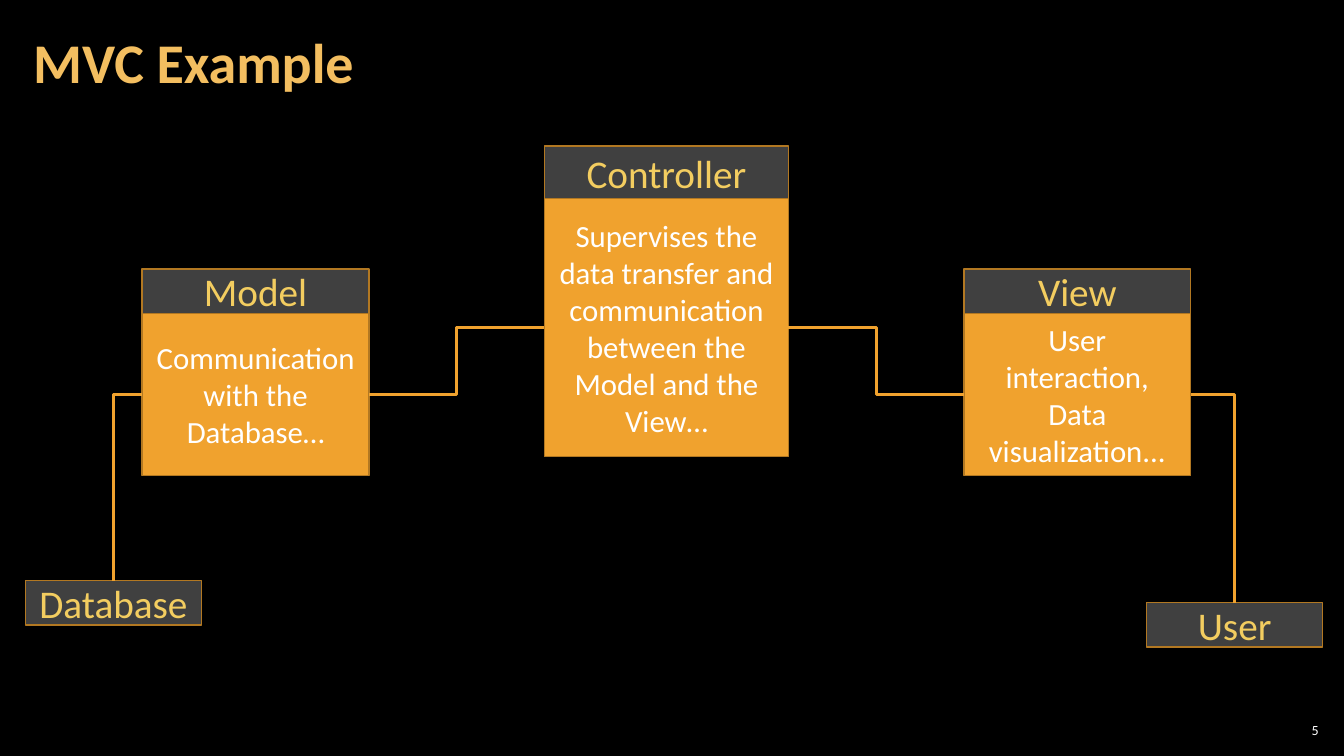
from dataclasses import dataclass

from lxml.etree import SubElement
from pptx import Presentation
from pptx.dml.color import RGBColor
from pptx.enum.shapes import MSO_CONNECTOR, MSO_SHAPE
from pptx.enum.text import MSO_ANCHOR, PP_ALIGN
from pptx.oxml.ns import qn
from pptx.util import Inches, Pt


@dataclass(frozen=True)
class Theme:
    font: str = "Calibri"
    background: str = "000000"
    white: str = "FFFFFF"
    title: str = "F3BE60"
    heading: str = "F3CD60"
    accent: str = "F0A22E"
    border: str = "B27822"
    title_size: int = 40
    heading_size: int = 28
    body_size: int = 22
    number_size: int = 10
    border_width: int = 1
    link_width: int = 2
    header_alpha: int = 25


def write(tf, text, *, size, color, bold=False, align=PP_ALIGN.LEFT,
          spacing=None, margins=(0.1, 0.05), font=Theme.font):
    """Fill a text frame with one formatted paragraph."""
    tf.word_wrap = True
    tf.vertical_anchor = MSO_ANCHOR.MIDDLE
    tf.margin_left = tf.margin_right = Inches(margins[0])
    tf.margin_top = tf.margin_bottom = Inches(margins[1])
    p = tf.paragraphs[0]
    p.alignment = align
    if spacing:
        p.line_spacing = spacing
    r = p.add_run()
    r.text = text
    r.font.name = font
    r.font.size = Pt(size)
    r.font.bold = bold
    r.font.color.rgb = RGBColor.from_string(color)


class Diagram:
    LEFT, RIGHT, TOP = 1, 3, 0  # connection sites of a rectangle

    def __init__(self, prs, theme):
        self.theme = theme
        self.slide = prs.slides.add_slide(prs.slide_layouts[6])
        fill = self.slide.background.fill
        fill.solid()
        fill.fore_color.rgb = RGBColor.from_string(theme.background)

    def text(self, x, y, w, h, text, **fmt):
        box = self.slide.shapes.add_textbox(*map(Inches, (x, y, w, h)))
        write(box.text_frame, text, **fmt)

    def rect(self, x, y, w, h, text, *, fill, alpha=None, **fmt):
        sp = self.slide.shapes.add_shape(
            MSO_SHAPE.RECTANGLE, *map(Inches, (x, y, w, h)))
        sp.shadow.inherit = False
        sp.fill.solid()
        sp.fill.fore_color.rgb = RGBColor.from_string(fill)
        if alpha is not None:
            color = next(sp._element.spPr.iter(qn("a:srgbClr")))
            SubElement(color, qn("a:alpha")).set("val", str(alpha * 1000))
        sp.line.color.rgb = RGBColor.from_string(self.theme.border)
        sp.line.width = Pt(self.theme.border_width)
        write(sp.text_frame, text, align=PP_ALIGN.CENTER, **fmt)
        return sp

    def header(self, x, y, w, h, text):
        t = self.theme
        return self.rect(x, y, w, h, text, fill=t.white, alpha=t.header_alpha,
                         size=t.heading_size, color=t.heading)

    def card(self, x, y, w, header_h, body_h, name, text):
        """Draw a header on a body; return the body for linking."""
        t = self.theme
        body = self.rect(x, y + header_h, w, body_h, text, fill=t.accent,
                         size=t.body_size, color=t.white)
        self.header(x, y, w, header_h, name)
        return body

    def link(self, start, start_site, end, end_site):
        cxn = self.slide.shapes.add_connector(MSO_CONNECTOR.ELBOW, 0, 0, 0, 0)
        cxn.begin_connect(start, start_site)
        cxn.end_connect(end, end_site)
        cxn.line.color.rgb = RGBColor.from_string(self.theme.accent)
        cxn.line.width = Pt(self.theme.link_width)
        spPr = cxn._element.spPr
        SubElement(spPr, qn("a:effectLst"))
        if end_site == self.TOP:  # a single bend
            spPr.find(qn("a:prstGeom")).set("prst", "bentConnector2")


prs = Presentation()
prs.slide_width, prs.slide_height = Inches(13.33), Inches(7.5)
theme = Theme()
s = Diagram(prs, theme)

# Title and slide number
s.text(0.21, 0.04, 10.47, 1.21, "MVC Example", size=theme.title_size,
       color=theme.title, bold=True, spacing=0.9, margins=(0.12, 0.04))
s.text(12.65, 7.14, 0.47, 0.21, "5", size=theme.number_size,
       color=theme.white, align=PP_ALIGN.RIGHT, margins=(0.04, 0.04))

# Model, controller and view
side = dict(y=2.67, w=2.25, header_h=0.44, body_h=1.61)
model = s.card(x=1.41, name="Model",
               text="Communication with the Database…", **side)
controller = s.card(
    x=5.4, y=1.45, w=2.42, header_h=0.52, body_h=2.56, name="Controller",
    text="Supervises the data transfer and communication between "
         "the Model and the View…")
view = s.card(x=9.56, name="View",
              text="User interaction, Data visualization...", **side)

# Outer ends of the chain
database = s.header(0.25, 5.76, 1.75, 0.44, "Database")
user = s.header(11.37, 5.98, 1.75, 0.44, "User")

# Links
s.link(controller, s.LEFT, model, s.RIGHT)
s.link(model, s.LEFT, database, s.TOP)
s.link(controller, s.RIGHT, view, s.LEFT)
s.link(view, s.RIGHT, user, s.TOP)

prs.save("out.pptx")
